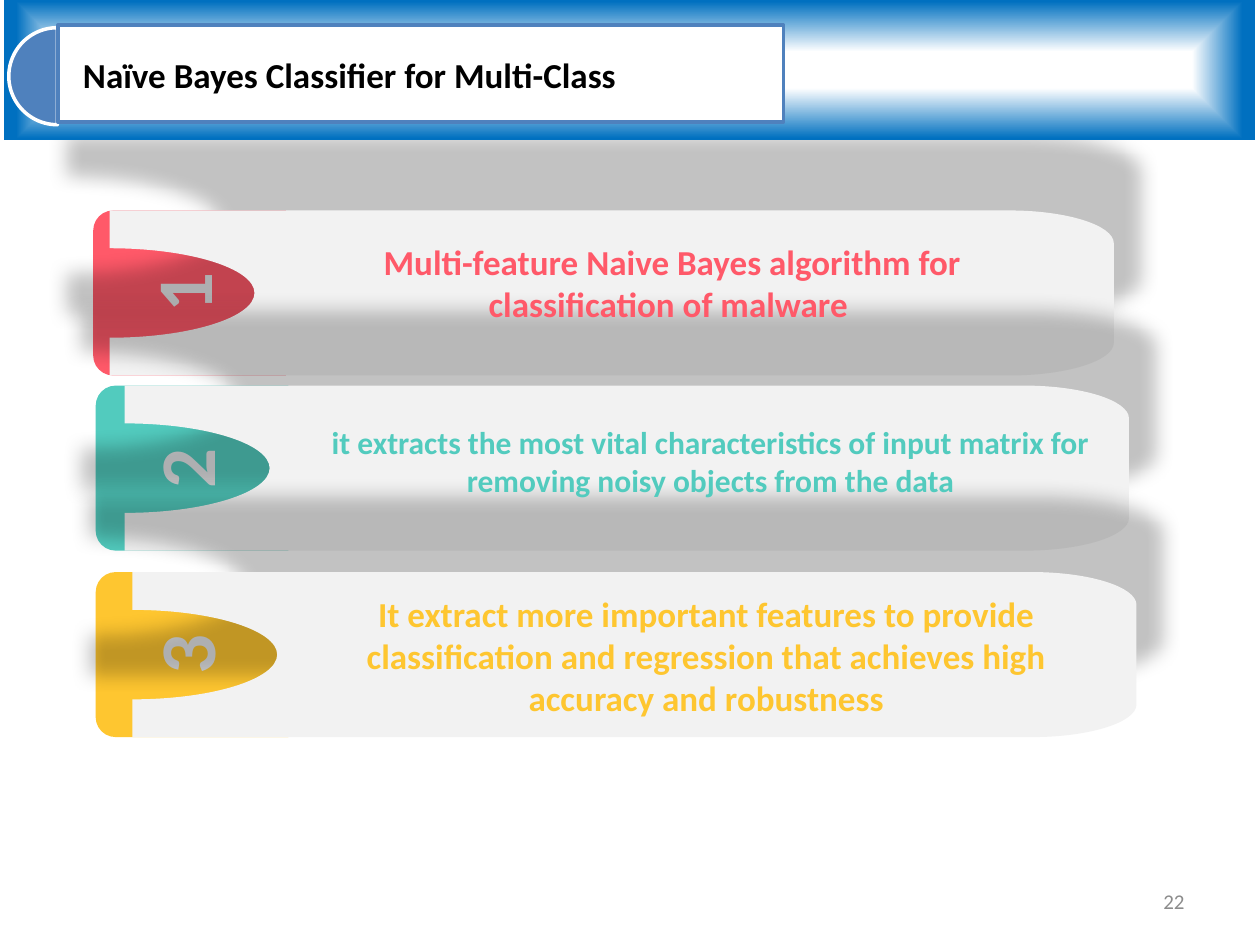
"""Build a slide of three numbered banners under a gradient title bar."""
from dataclasses import dataclass

from lxml.etree import SubElement
from pptx import Presentation
from pptx.dml.color import RGBColor
from pptx.enum.shapes import MSO_SHAPE
from pptx.enum.text import MSO_ANCHOR, PP_ALIGN
from pptx.oxml import parse_xml
from pptx.oxml.ns import nsdecls, qn
from pptx.util import Inches, Pt


@dataclass(frozen=True)
class Theme:
    """Colours, font and type sizes."""
    font: str = "Calibri"
    ink: str = "000000"
    paper: str = "FFFFFF"
    panel: str = "F2F2F2"
    number: str = "E6E7E9"
    muted: str = "8C8C8C"
    bar: str = "0070C0"
    accent: str = "4F81BD"
    red: str = "FF5969"
    teal: str = "52CBBE"
    amber: str = "FEC630"
    small: int = 12
    body: int = 18
    large: int = 20
    huge: int = 45


def write(sp, text, size, color, font, bold=True, align=PP_ALIGN.CENTER,
          anchor=MSO_ANCHOR.TOP, inset=None, spacing=None):
    """Put one formatted paragraph into a shape."""
    tf = sp.text_frame
    tf.word_wrap = True
    tf.vertical_anchor = anchor
    if inset is not None:
        tf.margin_left = tf.margin_right = tf.margin_top = tf.margin_bottom = Inches(inset)
    p = tf.paragraphs[0]
    p.alignment = align
    p.line_spacing = spacing
    r = p.add_run()
    r.text = text
    r.font.name, r.font.size, r.font.bold = font, Pt(size), bold
    r.font.color.rgb = RGBColor.from_string(color)


def round_corner(line, start, end, along_x):
    """Turn a straight path segment into a quarter ellipse."""
    (x0, y0), (x1, y1), k = start, end, 0.55
    if along_x:
        controls = (x0 + k * (x1 - x0), y0), (x1, y1 - k * (y1 - y0))
    else:
        controls = (x0, y0 + k * (y1 - y0)), (x1 - k * (x1 - x0), y1)
    line.tag = qn("a:cubicBezTo")
    line.remove(line[0])
    for x, y in (*controls, end):
        pt = SubElement(line, qn("a:pt"))
        pt.set("x", str(round(x)))
        pt.set("y", str(round(y)))


class Deck:
    """Style and current slide, measured on a grid of 100 columns by 75 rows."""

    def __init__(self, theme):
        self.theme = theme
        self.prs = Presentation()
        self.prs.slide_width, self.prs.slide_height = Inches(10), Inches(7.5)
        self.s = self.prs.slides.add_slide(self.prs.slide_layouts[5])

    def grid(self, *cells):
        """Turn grid cells into lengths."""
        col = self.prs.slide_width / 100
        return [round(c * col) for c in cells]

    def style(self, sp, fill, line=None):
        """Give a shape a plain fill and an optional outline."""
        sp.shadow.inherit = False
        sp.fill.solid()
        sp.fill.fore_color.rgb = RGBColor.from_string(fill)
        if line:
            sp.line.color.rgb = RGBColor.from_string(line)
            sp.line.width = Pt(2)
        else:
            sp.line.fill.background()

    def shape(self, kind, box, fill, line=None, adjust=(), rotation=0):
        """Add a preset shape."""
        sp = self.s.shapes.add_shape(kind, *self.grid(*box))
        for i, value in enumerate(adjust):
            sp.adjustments[i] = value
        sp.rotation = rotation
        self.style(sp, fill, line)
        return sp

    def text(self, box, text, size, color, rotation=0, **fmt):
        """Add a text box."""
        sp = self.s.shapes.add_textbox(*self.grid(*box))
        sp.rotation = rotation
        write(sp, text, size, color, self.theme.font, **fmt)

    def title(self, box, text):
        """Place the title in front of the bar."""
        sp = self.s.shapes.title
        sp.left, sp.top, sp.width, sp.height = self.grid(*box)
        write(sp, text, self.theme.large, self.theme.ink, self.theme.font,
              anchor=MSO_ANCHOR.MIDDLE, inset=0.13, spacing=0.9)
        sp.element.getparent().append(sp.element)

    def bar(self, box):
        """Add the bar that fades to white at its centre."""
        sp = self.shape(MSO_SHAPE.RECTANGLE, box, self.theme.bar)
        stops = "".join(f'<a:gs pos="{pos}000"><a:srgbClr val="{c}"/></a:gs>'
                        for pos, c in ((26, self.theme.paper), (98, self.theme.bar)))
        fill = sp.element.spPr.find(qn("a:solidFill"))
        fill.getparent().replace(fill, parse_xml(
            f'<a:gradFill {nsdecls("a")} rotWithShape="1"><a:gsLst>{stops}</a:gsLst>'
            '<a:path path="rect"><a:fillToRect l="50000" t="50000" r="50000" b="50000"/>'
            '</a:path></a:gradFill>'))

    def tab(self, center, middle, number, color):
        """Add a coloured tab with its turned number."""
        self.shape(MSO_SHAPE.ROUND_2_SAME_RECTANGLE,
                   (center - 6.55, middle - 7.65, 13.1, 15.3), color,
                   adjust=(0.121, 0), rotation=270)
        self.text((center - 4.25, middle - 4.3, 7.3, 8.6), number,
                  self.theme.huge, self.theme.number, rotation=270)

    def panel(self, left, middle, length=79.7, breadth=13.1):
        """Add a turned, notched panel with rounded far corners and a soft shadow."""
        half, notch, rx, ry = breadth / 2, 3.55, 2.6, 8.3
        points = [(0, 0), (half - notch, 0), (half, 11.5), (half + notch, 0),
                  (breadth, 0), (breadth, length - ry), (breadth - rx, length),
                  (rx, length), (0, length - ry)]
        points = [self.grid(*p) for p in points]
        builder = self.s.shapes.build_freeform(*points[0])
        builder.add_line_segments(points[1:], close=True)
        sp = builder.convert_to_shape(
            *self.grid(left + length / 2 - half, middle - length / 2))
        sp.rotation = 270
        lines = list(sp.element.spPr.iter(qn("a:lnTo")))
        for i, along_x in ((2, False), (3, True), (6, False), (8, True)):
            round_corner(lines[i - 1], points[i - 1], points[i], along_x)
        self.style(sp, self.theme.panel)
        sp.element.spPr.find(qn("a:effectLst")).append(parse_xml(
            f'<a:outerShdw {nsdecls("a")} blurRad="{Pt(10)}" dist="{Inches(0.38)}" '
            'dir="12960000" sx="107000" sy="107000" algn="ctr" rotWithShape="0">'
            f'<a:srgbClr val="{self.theme.ink}"><a:alpha val="23000"/></a:srgbClr>'
            '</a:outerShdw>'))


def main():
    """Draw the slide and save it."""
    theme = Theme()
    deck = Deck(theme)
    banners = [
        ("1", theme.red, 15.05, 8.7, 23.25, (22.1, 18.6, 62.5, 7.7), theme.large,
         "Multi-feature Naive Bayes algorithm for classification of malware "),
        ("2", theme.teal, 15.25, 9.9, 37.15, (24.4, 33.1, 64, 9.3), theme.body,
         "it extracts the most vital characteristics of input matrix for "
         "removing noisy objects from the data"),
        ("3", theme.amber, 15.25, 10.5, 51.95, (23.7, 46.5, 64.7, 14.5), theme.large,
         "It extract more important features to provide classification and "
         "regression that achieves high accuracy and robustness"),
    ]
    for number, color, center, _, middle, *_ in reversed(banners):
        deck.tab(center, middle, number, color)
    for _, _, _, left, middle, *_ in banners:
        deck.panel(left, middle)
    for _, color, _, _, _, box, size, text in banners:
        deck.text(box, text, size, color)
    deck.bar((0.3, 0, 99.3, 11.1))
    deck.text((71.7, 69.5, 23.3, 4), "22", theme.small, theme.muted, bold=False,
              align=PP_ALIGN.RIGHT, anchor=MSO_ANCHOR.MIDDLE)
    deck.shape(MSO_SHAPE.PIE, (0.7, 2.2, 7.7, 7.7), theme.accent, theme.paper,
               adjust=(54, 162))
    deck.shape(MSO_SHAPE.RECTANGLE, (4.6, 2, 57.6, 7.7), theme.paper, theme.accent)
    deck.title((-16.9, 3.8, 89.3, 4.6), "Naïve Bayes Classifier for Multi-Class")
    deck.prs.save("out.pptx")


if __name__ == "__main__":
    main()
